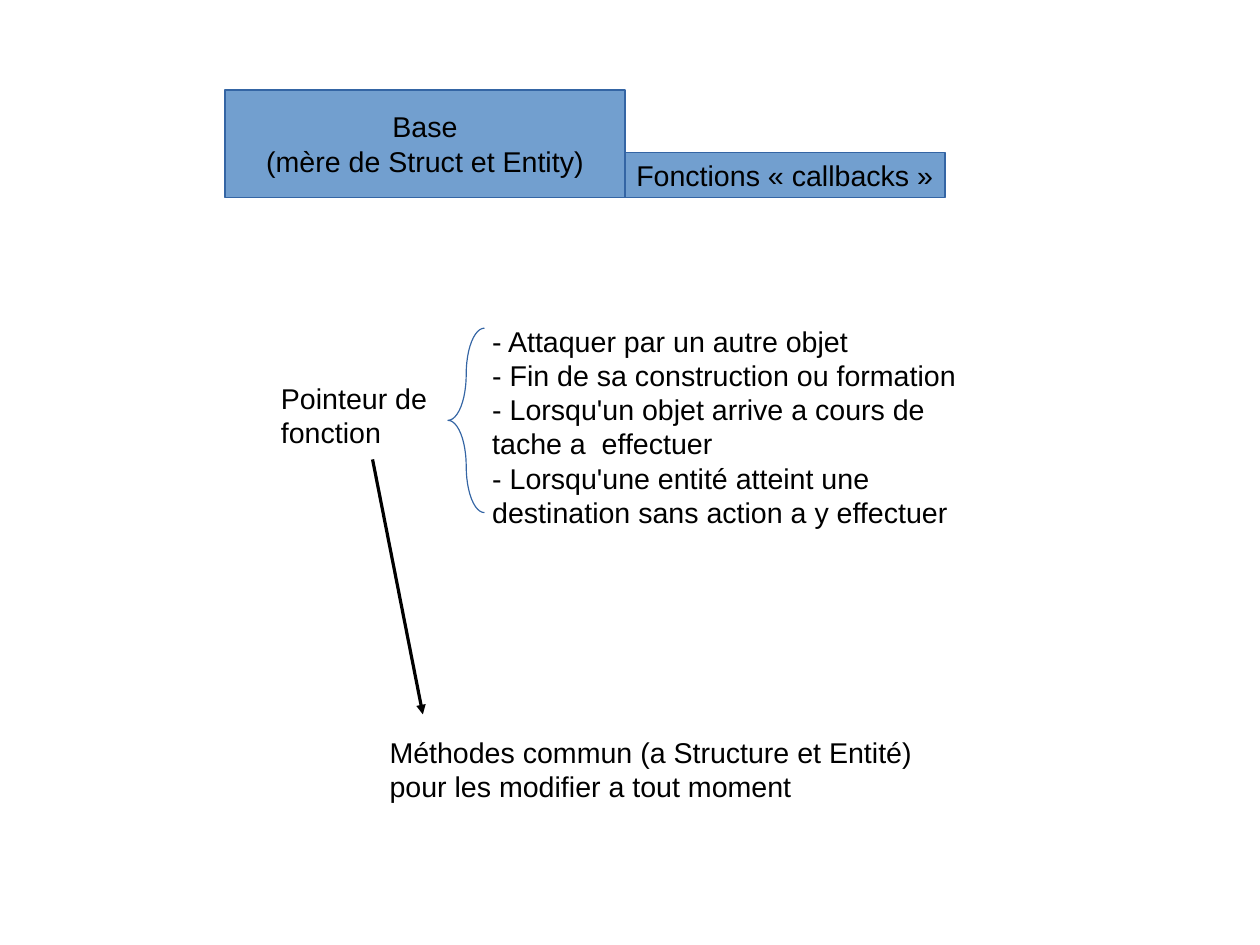
from dataclasses import dataclass

from lxml import etree
from pptx import Presentation
from pptx.dml.color import RGBColor
from pptx.enum.shapes import MSO_CONNECTOR, MSO_SHAPE
from pptx.enum.text import MSO_ANCHOR, PP_ALIGN
from pptx.oxml.ns import qn
from pptx.util import Pt

RECTANGLE = MSO_SHAPE.RECTANGLE
LEFT_BRACE = MSO_SHAPE.LEFT_BRACE
STRAIGHT = MSO_CONNECTOR.STRAIGHT
TOP, MIDDLE = MSO_ANCHOR.TOP, MSO_ANCHOR.MIDDLE
LEFT, CENTER = PP_ALIGN.LEFT, PP_ALIGN.CENTER


@dataclass(frozen=True)
class Theme:
    """Colours, font and sizes used on the slide."""
    fill: RGBColor = RGBColor(0x72, 0x9F, 0xCF)
    outline: RGBColor = RGBColor(0x34, 0x65, 0xA4)
    ink: RGBColor = RGBColor(0, 0, 0)
    font: str = "Arial"
    text_size: float = 18
    hairline: float = 0


class Diagram:
    """Draws styled elements on one slide; lengths are points."""

    def __init__(self, slide, theme):
        """Keep the slide and its theme."""
        self.slide = slide
        self.theme = theme

    def set_text(self, shape, lines, *, align=LEFT, anchor=TOP, wrap=True):
        """Put one paragraph per line into a shape."""
        frame = shape.text_frame
        frame.word_wrap = wrap
        frame.vertical_anchor = anchor
        frame.text = "\n".join(lines)
        for paragraph in frame.paragraphs:
            paragraph.alignment = align
            font = paragraph.font
            font.name = self.theme.font
            font.size = Pt(self.theme.text_size)
            font.color.rgb = self.theme.ink

    def outline(self, item, color):
        """Give a shape or connector a thin line."""
        item.line.color.rgb = color
        item.line.width = Pt(self.theme.hairline)

    def shape(self, kind, left, top, width, height):
        """Add an outlined preset shape without shadow."""
        shape = self.slide.shapes.add_shape(
            kind, Pt(left), Pt(top), Pt(width), Pt(height))
        shape.shadow.inherit = False
        self.outline(shape, self.theme.outline)
        return shape

    def box(self, bounds, lines, align=LEFT):
        """Add a filled rectangle with a label."""
        box = self.shape(RECTANGLE, *bounds)
        box.fill.solid()
        box.fill.fore_color.rgb = self.theme.fill
        self.set_text(box, lines, align=align, anchor=MIDDLE, wrap=False)

    def text(self, bounds, lines):
        """Add a wrapping text box."""
        box = self.slide.shapes.add_textbox(*map(Pt, bounds))
        self.set_text(box, lines)

    def brace(self, bounds):
        """Add a left brace whose four arcs fill its height."""
        brace = self.shape(LEFT_BRACE, *bounds)
        brace.fill.background()
        width, height = bounds[2:]
        brace.adjustments[0] = height / width / 4

    def arrow(self, start, end):
        """Add a straight arrow from start to end."""
        arrow = self.slide.shapes.add_connector(
            STRAIGHT, *map(Pt, (*start, *end)))
        self.outline(arrow, self.theme.ink)
        properties = arrow._element.spPr
        etree.SubElement(properties.find(qn("a:ln")), qn("a:tailEnd"),
                         type="triangle")
        etree.SubElement(properties, qn("a:effectLst"))


def main():
    """Build and save the slide."""
    presentation = Presentation()
    presentation.slide_width = Pt(793.7)
    presentation.slide_height = Pt(595.28)
    slide = presentation.slides.add_slide(presentation.slide_layouts[6])
    diagram = Diagram(slide, Theme())

    base_left, base_top, base_width, base_height = 141.73, 56.69, 252, 67.7
    callbacks_height = 28.35
    diagram.box((base_left, base_top, base_width, base_height),
                ["Base", "(mère de Struct et Entity)"], align=CENTER)
    diagram.box((base_left + base_width,
                 base_top + base_height - callbacks_height,
                 201.6, callbacks_height),
                ["Fonctions «\u00a0callbacks\u00a0»"])

    diagram.text((303, 200.2, 326.2, 128.2), [
        "- Attaquer par un autre objet",
        "- Fin de sa construction ou formation",
        "- Lorsqu'un objet arrive a cours de tache a  effectuer",
        "- Lorsqu'une entité atteint une destination sans action a y effectuer",
    ])
    diagram.brace((282.2, 206.7, 23, 116.2))
    diagram.text((169.9, 236.2, 119.5, 47.5), ["Pointeur de fonction"])
    diagram.text((238.3, 459.4, 345.6, 67.7), [
        "Méthodes commun (a Structure et Entité) "
        "pour les modifier a tout moment"])
    diagram.arrow((234.7, 289.4), (266.4, 450))

    presentation.save("out.pptx")


main()
